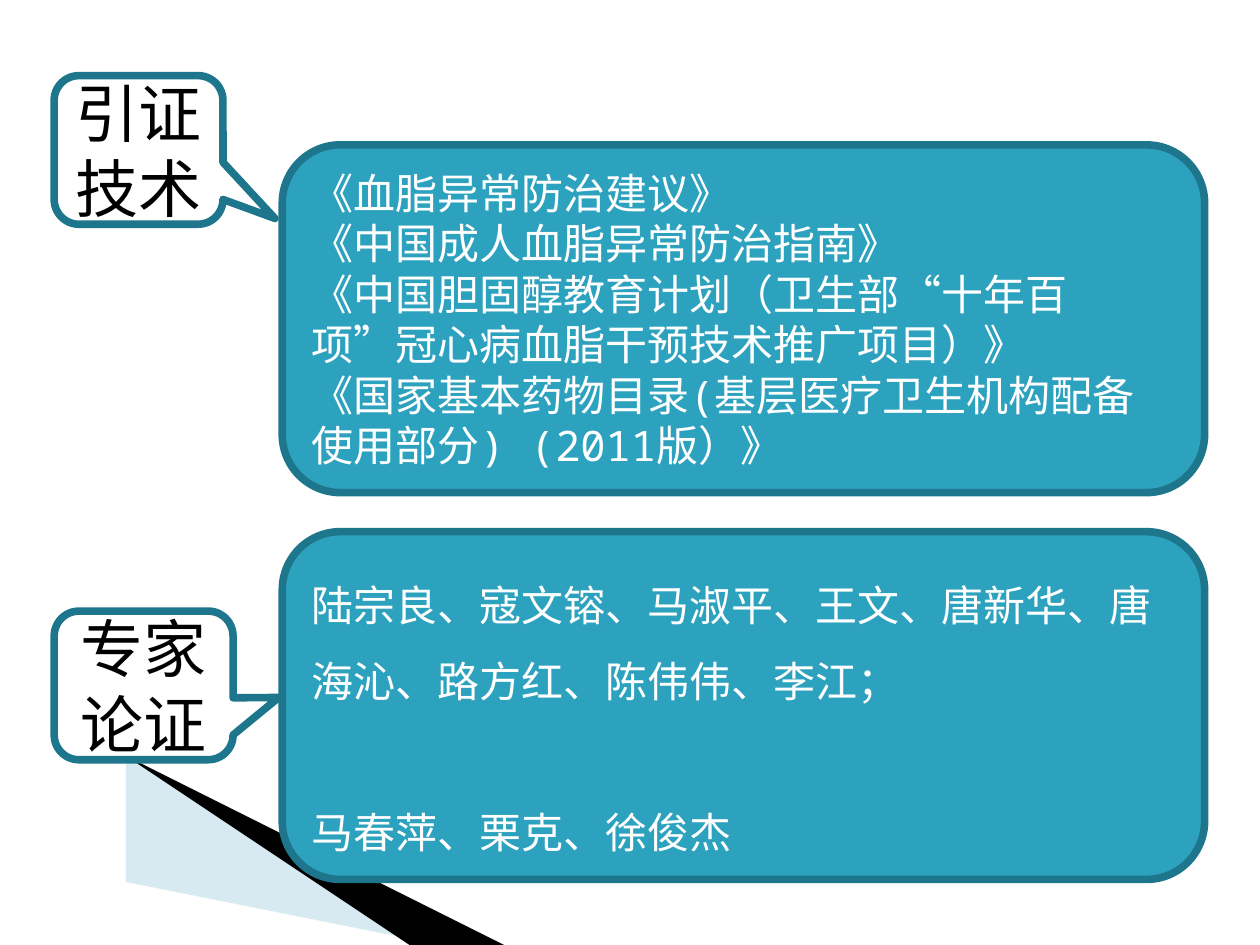
from pptx import Presentation
from pptx import util as u
from pptx.dml.color import RGBColor
from pptx.enum import shapes, text
from pptx.oxml import parse_xml
from pptx.oxml.ns import nsdecls, qn

WIDTH, HEIGHT = 10, 7.5
FONT = "Noto Sans Mono"
TEAL = RGBColor(0x2D, 0xA2, 0xBF)
DARK_TEAL = RGBColor(0x1E, 0x76, 0x8C)
PALE_BLUE = RGBColor(0x9F, 0xCB, 0xDC)
BLACK = RGBColor(0, 0, 0)
WHITE = RGBColor(255, 255, 255)

PANEL_LEFT, PANEL_WIDTH, PANEL_HEIGHT = 2.24, 7.32, 2.76
LABEL_LEFT, LABEL_HEIGHT = 0.43, 1.18

SECTIONS = [
    dict(
        label=["引证", "技术"],
        label_box=(LABEL_LEFT, 0.6, 1.34, LABEL_HEIGHT),
        pointer=(0.808, 0.461),
        panel_top=1.15,
        lines=[
            "《血脂异常防治建议》",
            "《中国成人血脂异常防治指南》",
            "《中国胆固醇教育计划（卫生部“十年百项”冠心病血脂干预技术推广项目）》",
            "《国家基本药物目录(基层医疗卫生机构配备使用部分) (2011版）》",
        ],
        spacing={},
    ),
    dict(
        label=["专家", "论证"],
        label_box=(LABEL_LEFT, 4.85, 1.42, LABEL_HEIGHT),
        pointer=(0.755, 0.081),
        panel_top=4.22,
        lines=[
            "陆宗良、寇文镕、马淑平、王文、唐新华、唐海沁、路方红、陈伟伟、李江；",
            "马春萍、栗克、徐俊杰",
        ],
        spacing=dict(line_spacing=1.5, gap=43),
    ),
]


def write_text(shape, lines, size, color, align, line_spacing=None, gap=0):
    frame = shape.text_frame
    frame.word_wrap = True
    frame.vertical_anchor = text.MSO_ANCHOR.MIDDLE
    for index, line in enumerate(lines):
        para = frame.add_paragraph() if index else frame.paragraphs[0]
        para.alignment = align
        para.line_spacing = line_spacing
        if index and gap:
            para.space_before = u.Pt(gap)
        span = para.add_run()
        span.text = line
        span.font.name = FONT
        span.font.size = u.Pt(size)
        span.font.color.rgb = color


def add_outlined(page, kind, box, adjustments, fill=None):
    shape = page.shapes.add_shape(kind, *map(u.Inches, box))
    shape.shadow.inherit = False
    for index, value in enumerate(adjustments):
        shape.adjustments[index] = value
    if fill is None:
        shape.fill.background()
    else:
        shape.fill.solid()
        shape.fill.fore_color.rgb = fill
    shape.line.color.rgb = DARK_TEAL
    shape.line.width = u.Pt(4.34)
    return shape


def add_label(page, box, lines, pointer):
    kind = shapes.MSO_SHAPE.ROUNDED_RECTANGULAR_CALLOUT
    label = add_outlined(page, kind, box, (*pointer, 0.167))
    write_text(label, lines, 36, BLACK, text.PP_ALIGN.CENTER)


def add_panel(page, box, lines, spacing):
    kind = shapes.MSO_SHAPE.ROUNDED_RECTANGLE
    panel = add_outlined(page, kind, box, (0.167,), TEAL)
    write_text(panel, lines, 24, WHITE, text.PP_ALIGN.LEFT, **spacing)


def add_wedge(page, points, color, opacity=100):
    builder = page.shapes.build_freeform(*points[0], scale=u.Inches(1))
    builder.add_line_segments(points[1:], close=True)
    wedge = builder.convert_to_shape()
    wedge.shadow.inherit = False
    wedge.line.fill.background()
    wedge.fill.solid()
    wedge.fill.fore_color.rgb = color
    if opacity < 100:
        tint = wedge.fill._xPr.find(qn("a:solidFill"))[0]
        tint.append(parse_xml(f'<a:alpha {nsdecls("a")} val="{opacity * 1000}"/>'))


def add_corner(page):
    add_wedge(page, [(0.55, 6.51), (5.95, 7.51), (4.56, 7.51), (0.55, 6.5)], PALE_BLUE, 40)
    add_wedge(page, [(0.53, 6.49), (4.57, 7.51), (3.72, 7.52), (0.54, 6.5)], BLACK)


def main():
    deck = Presentation()
    deck.slide_width, deck.slide_height = u.Inches(WIDTH), u.Inches(HEIGHT)
    page = deck.slides.add_slide(deck.slide_layouts[6])
    add_corner(page)
    for section in SECTIONS:
        add_label(page, section["label_box"], section["label"], section["pointer"])
        panel_box = (PANEL_LEFT, section["panel_top"], PANEL_WIDTH, PANEL_HEIGHT)
        add_panel(page, panel_box, section["lines"], section["spacing"])
    deck.save("out.pptx")


if __name__ == "__main__":
    main()
